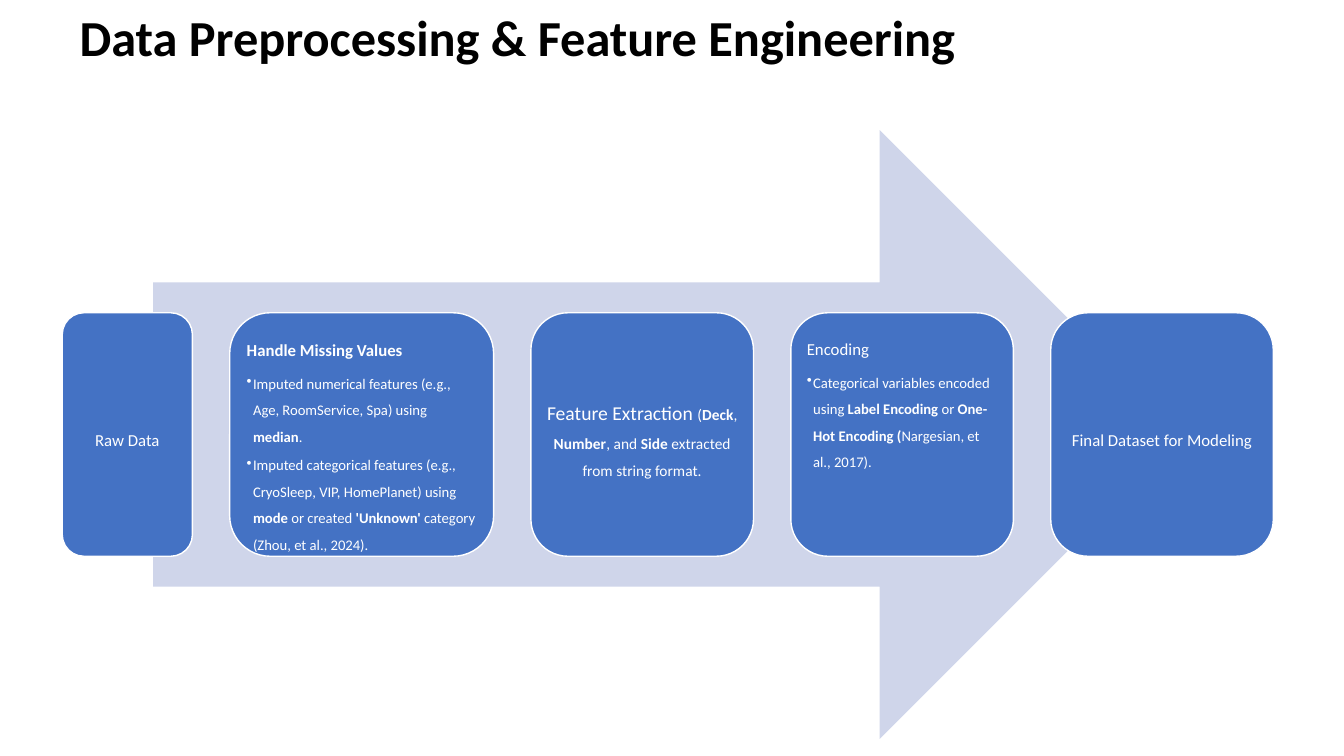
import dataclasses

import lxml.etree
import pptx
import pptx.dml.color
import pptx.enum.shapes
import pptx.enum.text
import pptx.oxml.ns
import pptx.util

Cm, Pt = pptx.util.Cm, pptx.util.Pt
RGB = pptx.dml.color.RGBColor.from_string
PRESETS = pptx.enum.shapes.MSO_SHAPE
ALIGN = pptx.enum.text.PP_ALIGN
ANCHOR = pptx.enum.text.MSO_ANCHOR


@dataclasses.dataclass(frozen=True)
class Theme:
    font: str = "Calibri"
    ink: str = "000000"
    step: str = "4472C4"
    arrow: str = "CFD5EA"
    light: str = "FFFFFF"
    title: float = 36
    large: float = 14
    heading: float = 12
    detail: float = 11
    bullet: float = 10.5


THEME = Theme()

# Steps: width in cm, centred or not, paragraphs of (kind, [(size, text)]);
# ** switches bold on and off
STEPS = [
    (3.28, True, [("heading", [(THEME.heading, "Raw Data")])]),
    (6.65, False, [
        ("heading", [(THEME.heading, "**Handle Missing Values**")]),
        ("bullet", [(THEME.bullet, "Imputed numerical features (e.g., Age, "
                     "RoomService, Spa) using **median**.")]),
        ("bullet", [(THEME.bullet, "Imputed categorical features (e.g., CryoSleep, VIP, "
                     "HomePlanet) using **mode** or created **'Unknown'** category "
                     "(Zhou, et al., 2024).")]),
    ]),
    (5.61, True, [
        ("heading", [(THEME.large, "Feature Extraction "),
                     (THEME.detail, "(**Deck**, **Number**, and **Side** "
                      "extracted from string format.")]),
    ]),
    (5.61, False, [
        ("heading", [(THEME.heading, "Encoding")]),
        ("bullet", [(THEME.bullet, "Categorical variables encoded using **Label Encoding** "
                     "or **One-Hot Encoding (**Nargesian, et al., 2017).")]),
    ]),
    (5.61, True, [("heading", [(THEME.heading, "Final Dataset for Modeling")])]),
]


def apply(target, formats):
    for attribute, value in formats.items():
        setattr(target, attribute, value)


def add_runs(paragraph, size, marked_text, color):
    for index, part in enumerate(marked_text.split("**")):
        if part:
            run = paragraph.add_run()
            run.text = part
            apply(run.font, {"name": THEME.font, "size": Pt(size), "bold": index % 2 == 1})
            run.font.color.rgb = RGB(color)


def add_bullet(paragraph):
    properties = paragraph._p.get_or_add_pPr()
    hang = Cm(0.16)
    properties.set("marL", str(hang))
    properties.set("indent", str(-hang))
    bullet = lxml.etree.SubElement(properties, pptx.oxml.ns.qn("a:buChar"))
    bullet.set("char", "•")


def add_panel(slide, preset, box, color):
    panel = slide.shapes.add_shape(preset, *(Cm(length) for length in box))
    panel.shadow.inherit = False
    panel.fill.solid()
    panel.fill.fore_color.rgb = RGB(color)
    return panel


def place_title(slide, box, text):
    title = slide.shapes.title
    apply(title, dict(zip(("left", "top", "width", "height"), map(Cm, box))))
    frame = title.text_frame
    apply(frame, {"auto_size": pptx.enum.text.MSO_AUTO_SIZE.NONE,
                  "vertical_anchor": ANCHOR.MIDDLE, "word_wrap": True})
    heading = frame.paragraphs[0]
    apply(heading, {"alignment": ALIGN.LEFT, "line_spacing": 0.9})
    add_runs(heading, THEME.title, f"**{text}**", THEME.ink)


def place_step(slide, box, centred, paragraphs):
    step = add_panel(slide, PRESETS.ROUNDED_RECTANGLE, box, THEME.step)
    step.line.color.rgb = RGB(THEME.light)
    step.line.width = Pt(1)
    frame = step.text_frame
    inset = Cm(0.13)
    apply(frame, {"margin_left": inset, "margin_right": inset, "margin_top": inset,
                  "margin_bottom": inset, "word_wrap": True,
                  "vertical_anchor": ANCHOR.MIDDLE if centred else ANCHOR.TOP})
    for index, (kind, pieces) in enumerate(paragraphs):
        paragraph = frame.add_paragraph() if index else frame.paragraphs[0]
        share = 0.15 if kind == "bullet" else 0.35
        apply(paragraph, {"alignment": ALIGN.CENTER if centred else ALIGN.LEFT,
                          "line_spacing": 1.5, "space_after": Pt(share * pieces[0][0])})
        if kind == "bullet":
            add_bullet(paragraph)
        for size, text in pieces:
            add_runs(paragraph, size, text, THEME.light)


def place_process(slide, box):
    left, top, width, height = box
    # Arrow behind the steps
    arrow_indent, arrow_width = 2.29, 25.98
    arrow = add_panel(slide, PRESETS.RIGHT_ARROW,
                      (left + arrow_indent, top, arrow_width, height), THEME.arrow)
    arrow.line.fill.background()
    # Steps, equally spaced and centred on the arrow
    step_height = 0.4 * height
    step_top = top + (height - step_height) / 2
    gap = (width - sum(step[0] for step in STEPS)) / (len(STEPS) - 1)
    for step_width, centred, paragraphs in STEPS:
        place_step(slide, (left, step_top, step_width, step_height), centred, paragraphs)
        left += step_width + gap


def main():
    deck = pptx.Presentation()
    apply(deck, {"slide_width": Cm(33.87), "slide_height": Cm(19.05)})
    slide = deck.slides.add_slide(deck.slide_layouts.get_by_name("Title Only"))
    place_title(slide, (1.75, 0.23, 29.21, 1.55), "Data Preprocessing & Feature Engineering")
    place_process(slide, (1.57, 3.28, 30.52, 15.34))
    deck.save("out.pptx")


if __name__ == "__main__":
    main()
